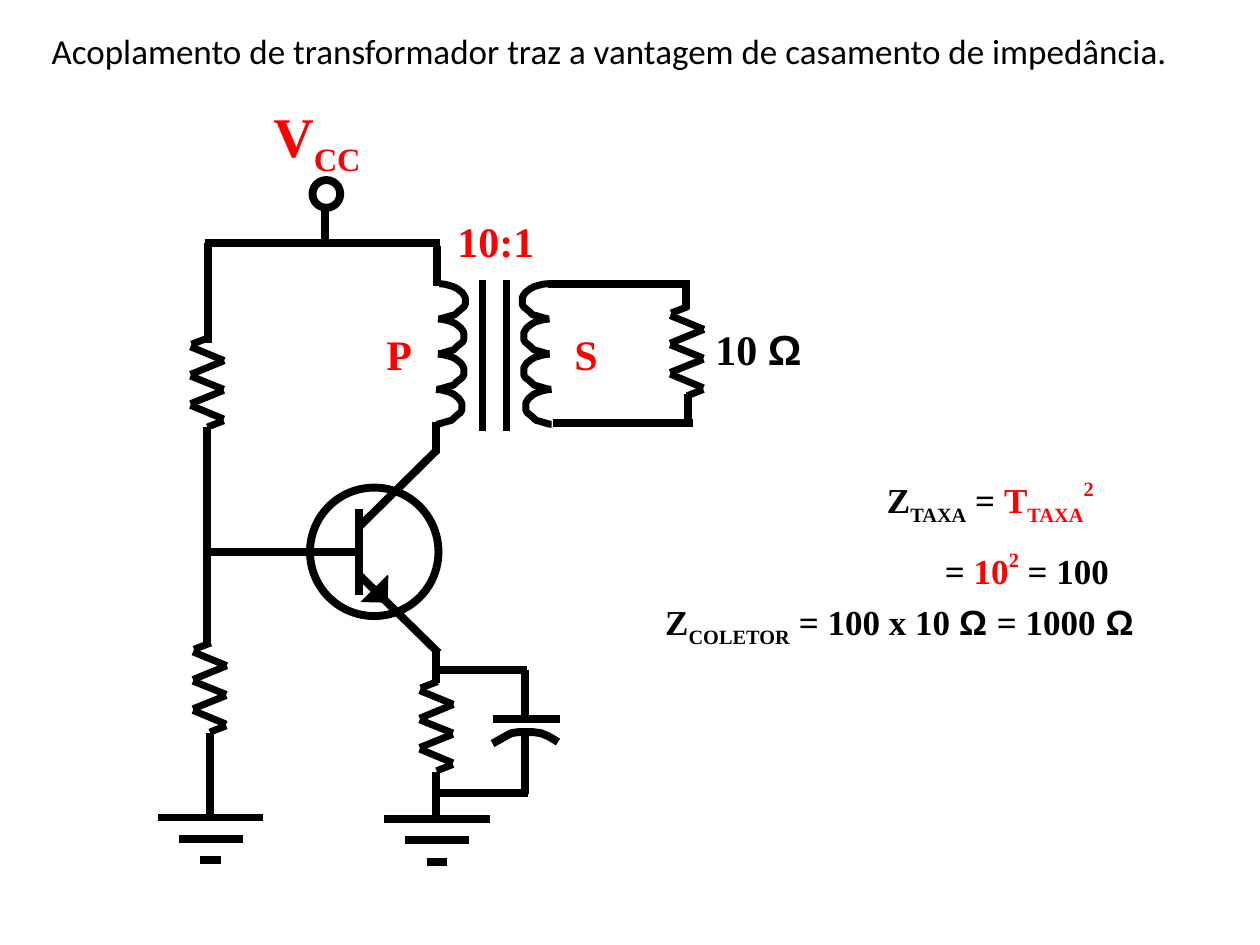
import pptx
import pptx.dml.color
import pptx.enum.shapes
import pptx.enum.text
import pptx.oxml
import pptx.util
from pptx.util import Cm

BLACK, RED = "000000", "FF0000"
SERIF, SANS = "Times New Roman", "Arial"
SHAPES = pptx.enum.shapes.MSO_SHAPE

presentation = pptx.Presentation()
presentation.slide_width, presentation.slide_height = Cm(25.4), Cm(19.05)
slide = presentation.slides.add_slide(presentation.slide_layouts[5])


def color(hex_value):
    return pptx.dml.color.RGBColor.from_string(hex_value)


def draw_line(x1, y1, x2, y2, weight=4.5):
    connector = slide.shapes.add_connector(
        pptx.enum.shapes.MSO_CONNECTOR.STRAIGHT, Cm(x1), Cm(y1), Cm(x2), Cm(y2))
    connector.line.color.rgb = color(BLACK)
    connector.line.width = pptx.util.Pt(weight)
    effects = pptx.oxml.parse_xml(
        '<a:effectLst xmlns:a="http://schemas.openxmlformats.org/drawingml/2006/main"/>')
    connector._element.spPr.append(effects)


# Wires and straight strokes: x1, y1, x2, y2
wires = [
    # Supply rail
    (6.55, 4.22, 6.55, 4.95), (4.14, 4.9, 8.86, 4.9),
    (4.19, 4.9, 4.19, 6.91), (8.81, 4.95, 8.81, 5.77),
    # Bias divider
    (4.17, 8.61, 4.17, 12.95), (4.24, 14.78, 4.24, 16.46),
    # Transistor
    (7.21, 11.13, 4.17, 11.13), (7.24, 10.26, 7.24, 11.99),
    (7.24, 10.62, 8.81, 9.07), (8.79, 8.51, 8.79, 9.14),
    (7.26, 11.61, 8.84, 13.16), (8.79, 13.13, 8.79, 13.77),
    (8.79, 15.57, 8.79, 16.54),
    # Bypass capacitor
    (9.93, 14.5, 11.28, 14.5), (10.62, 13.51, 8.79, 13.51),
    (10.59, 14.45, 10.59, 13.51), (10.59, 14.83, 10.59, 16),
    (10.64, 15.98, 8.81, 15.98),
    # Load loop
    (11.05, 5.72, 13.84, 5.72), (13.82, 5.64, 13.82, 6.22),
    (11.15, 8.53, 13.97, 8.53), (13.87, 7.95, 13.87, 8.53),
]
for wire in wires:
    draw_line(*wire)

for core_x in (9.73, 10.21):
    draw_line(core_x, 5.64, core_x, 8.69, 4)

resistor_strokes = [
    (0.68, 0.46, 0, 0.18), (0.67, 1.04, 0, 0.77), (0.67, 1.64, 0, 1.36),
    (0, 1.33, 0.67, 1.06), (0, 0.74, 0.68, 0.46),
    (0.02, 0.13, 0.36, 0), (0.34, 1.8, 0.67, 1.67),
]
for left, top in [(3.84, 6.81), (3.89, 12.96), (8.46, 13.74), (13.51, 6.18)]:
    for x1, y1, x2, y2 in resistor_strokes:
        draw_line(left + x1, top + y1, left + x2, top + y2, 4)

for center, top in [(4.25, 16.48), (8.81, 16.51)]:
    for level, half_width in enumerate((1.06, 0.64, 0.21)):
        y = top + 0.43 * level
        draw_line(center - half_width, y, center + half_width, y)

# Curves: four turns per winding, the secondary mirrored, and the curved plate
turn = [
    (0, 0), (0.1, 0.01), (0.18, 0.03), (0.28, 0.06), (0.36, 0.1), (0.41, 0.14),
    (0.46, 0.18), (0.5, 0.24), (0.52, 0.28), (0.52, 0.42), (0.49, 0.47),
    (0.44, 0.51), (0.38, 0.56), (0.33, 0.61), (0.3, 0.63), (0.25, 0.64),
    (0.15, 0.67), (0.05, 0.7), (0, 0.7),
]
curves = [([
    (9.93, 14.99), (10.04, 14.93), (10.16, 14.86), (10.31, 14.78),
    (10.45, 14.76), (10.75, 14.76), (10.9, 14.78), (11.05, 14.84),
    (11.17, 14.91), (11.25, 14.96)], 4.5)]
for start_x, direction in [(8.86, 1), (11.05, -1)]:
    for index, shift in enumerate((0, 0.03, 0.03, 0.07)):
        curves.append(([(start_x + direction * (x - shift), 5.72 + 0.71 * index + y)
                        for x, y in turn], 4))

outlines = []
for points, weight in curves:
    start, *rest = [(Cm(x), Cm(y)) for x, y in points]
    builder = slide.shapes.build_freeform(*start, scale=1.0)
    builder.add_line_segments(rest, close=False)
    outlines.append((builder.convert_to_shape(), weight))

# Transistor body and supply terminal
for left, top, size in [(6.25, 9.83, 2.59), (6.3, 3.63, 0.56)]:
    circle = slide.shapes.add_shape(SHAPES.OVAL, Cm(left), Cm(top), Cm(size), Cm(size))
    outlines.append((circle, 4.5))

for shape, weight in outlines:
    shape.shadow.inherit = False
    shape.fill.background()
    shape.line.color.rgb = color(BLACK)
    shape.line.width = pptx.util.Pt(weight)

emitter_arrow = slide.shapes.add_shape(
    SHAPES.RIGHT_TRIANGLE, Cm(7.29), Cm(11.61), Cm(0.53), Cm(0.51))
emitter_arrow.rotation = 271.3
emitter_arrow.shadow.inherit = False
emitter_arrow.fill.solid()
emitter_arrow.fill.fore_color.rgb = color(BLACK)
emitter_arrow.line.color.rgb = color(BLACK)
emitter_arrow.line.width = pptx.util.Pt(0.75)

# Labels: box, size, runs of (text, font, color, baseline percent)
SUB, SUPER = -25, 50
labels = [
    ((5.26, 1.93, 2.41, 1.47), 32, [("V", SERIF, RED, 0), ("CC", SERIF, RED, SUB)]),
    ((7.54, 6.5, 1.02, 1.17), 24, [("P", SERIF, RED, 0)]),
    ((11.33, 6.5, 0.99, 1.17), 24, [("S", SERIF, RED, 0)]),
    ((8.97, 4.22, 2.06, 1.17), 24, [("10:1", SERIF, RED, 0)]),
    ((14.17, 6.4, 2.26, 1.17), 24, [("10 ", SERIF, BLACK, 0), ("Ω", SANS, BLACK, 0)]),
    ((17.63, 9.47, 5.05, 1.12), 20, [
        ("Z", SERIF, BLACK, 0), ("TAXA", SERIF, BLACK, SUB), (" = ", SERIF, BLACK, 0),
        ("T", SERIF, RED, 0), ("TAXA", SERIF, RED, SUB), ("2", SERIF, RED, SUPER)]),
    ((18.8, 10.9, 3.89, 1.12), 20, [
        ("= ", SERIF, BLACK, 0), ("10", SERIF, RED, 0),
        ("2", SERIF, RED, SUPER), (" = 100", SERIF, BLACK, 0)]),
    ((13.16, 11.99, 10.24, 1.12), 20, [
        ("Z", SERIF, BLACK, 0), ("COLETOR", SERIF, BLACK, SUB),
        (" = 100 x 10 ", SERIF, BLACK, 0), ("Ω ", SANS, BLACK, 0),
        ("= 1000", SERIF, BLACK, 0), (" Ω", SANS, BLACK, 0)]),
]
for box, size, runs in labels:
    label = slide.shapes.add_textbox(*map(Cm, box))
    label.text_frame.word_wrap = False
    label.text_frame.auto_size = pptx.enum.text.MSO_AUTO_SIZE.SHAPE_TO_FIT_TEXT
    for text, font_name, hex_value, baseline in runs:
        run = label.text_frame.paragraphs[0].add_run()
        run.text = text
        font_format = {"name": font_name, "size": pptx.util.Pt(size), "bold": True}
        for attribute, value in font_format.items():
            setattr(run.font, attribute, value)
        run.font.color.rgb = color(hex_value)
        if baseline:
            run._r.get_or_add_rPr().set("baseline", str(baseline * 1000))

title = slide.shapes.title
title_box = {"left": Cm(0.6), "top": Cm(0.46), "width": Cm(23.37), "height": Cm(1.12)}
for attribute, value in title_box.items():
    setattr(title, attribute, value)
title.text_frame.text = "Acoplamento de transformador traz a vantagem de casamento de impedância."
frame_format = {
    "word_wrap": False,
    "auto_size": pptx.enum.text.MSO_AUTO_SIZE.SHAPE_TO_FIT_TEXT,
    "vertical_anchor": pptx.enum.text.MSO_ANCHOR.TOP,
}
for attribute, value in frame_format.items():
    setattr(title.text_frame, attribute, value)
title_paragraph = title.text_frame.paragraphs[0]
title_paragraph.alignment = pptx.enum.text.PP_ALIGN.CENTER
title_font = title_paragraph.runs[0].font
title_font.name = "Calibri"
title_font.size = pptx.util.Pt(20)
title_font.color.rgb = color(BLACK)

presentation.save("out.pptx")
